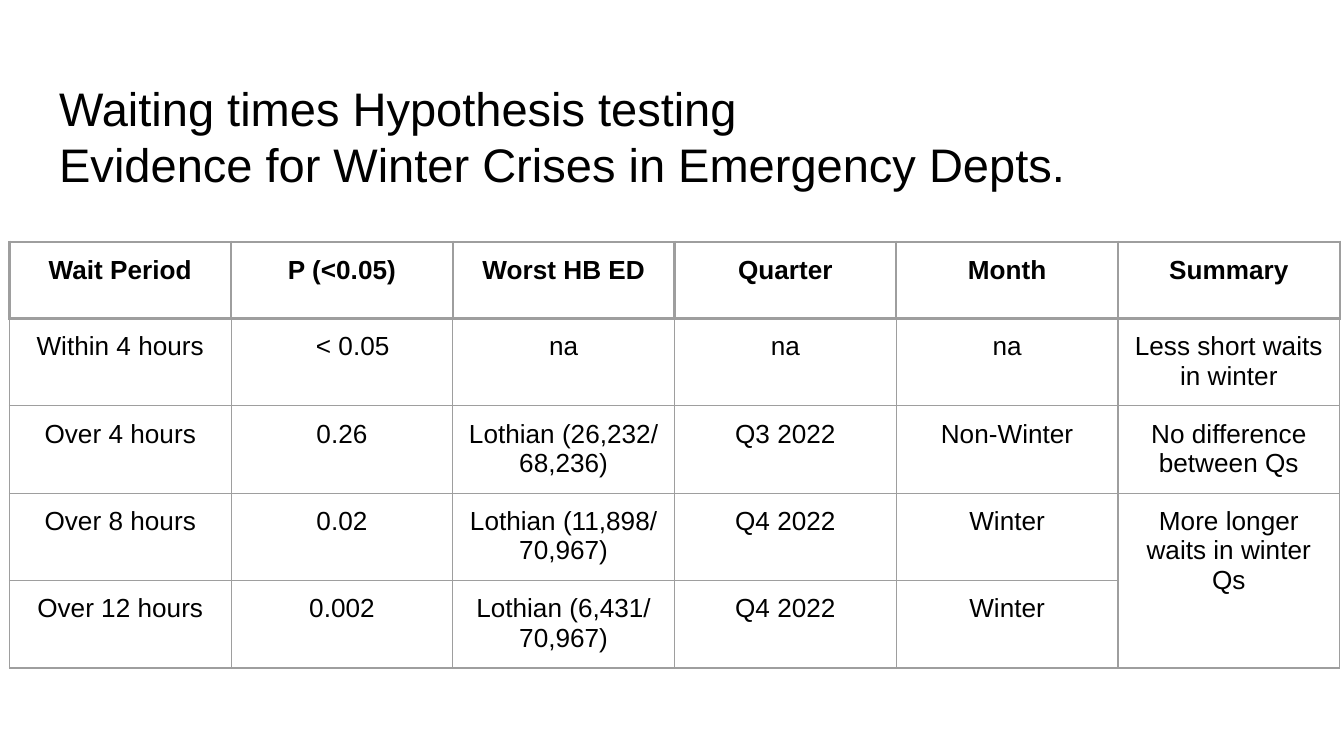
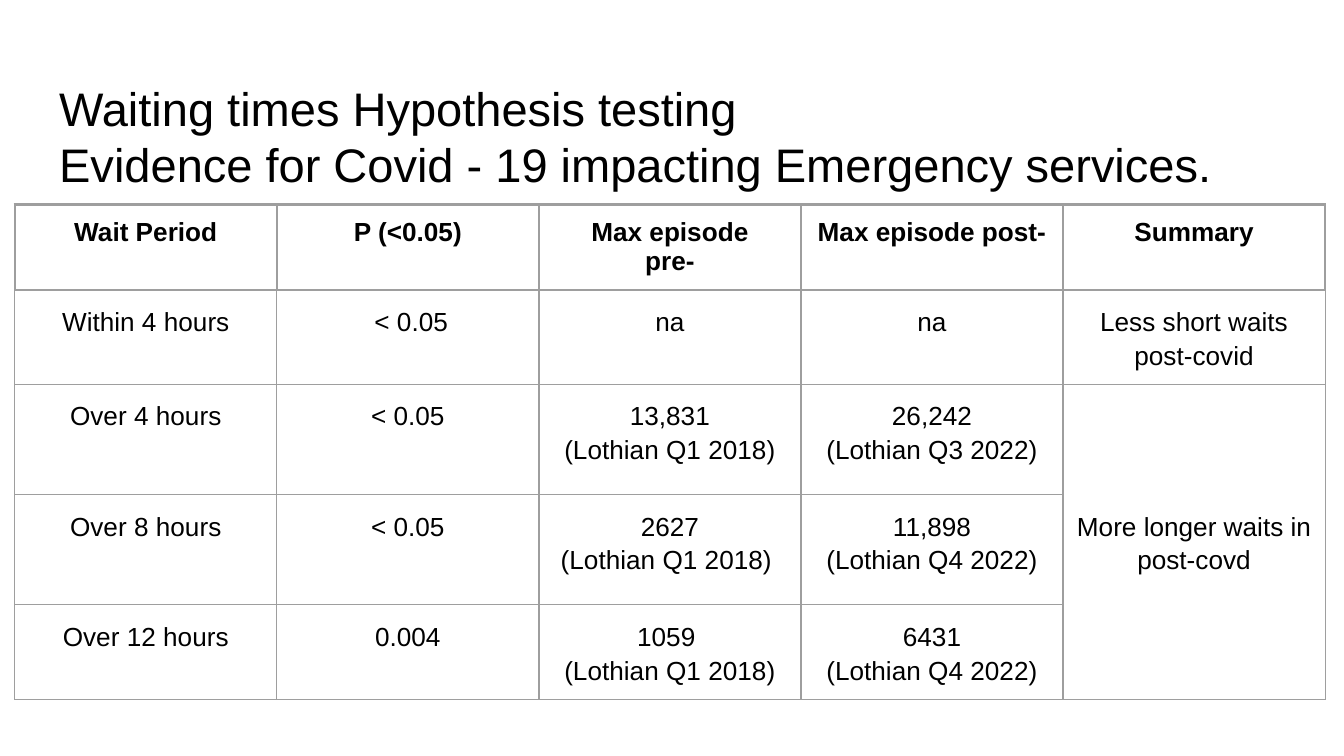
from dataclasses import dataclass

import pptx
import pptx.dml.color
import pptx.enum.text
import pptx.oxml.ns
import pptx.util
from lxml import etree

Inches = pptx.util.Inches
Pt = pptx.util.Pt
RGB = pptx.dml.color.RGBColor
Align = pptx.enum.text.PP_ALIGN
Anchor = pptx.enum.text.MSO_ANCHOR


@dataclass(frozen=True)
class Theme:
    font: str = "Arial"
    text: str = "000000"
    rule: str = "9E9E9E"
    title_size: float = 25.2
    table_size: float = 14
    thick: float = 1.5
    thin: float = 0.75
    inset: float = 0.1


@dataclass(frozen=True)
class Cell:
    text: str
    indent: float = 0
    rows: int = 1
    middle: bool = False


@dataclass(frozen=True)
class TestSlide:
    title: str
    left: float
    top: float
    col_width: float
    row_heights: list[float]
    rows: list[list[str | Cell | None]]  # None is covered by a merged cell
    body_spacing: float | None = None


THEME = Theme()
TITLE_START = "Waiting times Hypothesis testing\n"

SLIDES = [
    TestSlide(
        TITLE_START + "Evidence for Winter Crises in Emergency Depts.",
        0.07, 1.8, 1.65, [0.57, 0.65, 0.65, 0.65, 0.65],
        [
            ["Wait Period", "P (<0.05)", "Worst HB ED", "Quarter", "Month", "Summary"],
            ["Within 4 hours", Cell("< 0.05", indent=0.16), "na", "na", "na",
             "Less short waits in winter"],
            ["Over 4 hours", "0.26", "Lothian (26,232/ 68,236)", "Q3 2022", "Non-Winter",
             "No difference between Qs"],
            ["Over 8 hours", "0.02", "Lothian (11,898/ 70,967)", "Q4 2022", "Winter",
             Cell("More longer waits in winter Qs", rows=2)],
            ["Over 12 hours", "0.002", "Lothian (6,431/ 70,967)", "Q4 2022", "Winter", None],
        ],
    ),
    TestSlide(
        TITLE_START + "Evidence for Covid - 19 impacting Emergency services.",
        0.11, 1.52, 1.95, [0.56, 0.59, 0.82, 0.82, 0.59],
        [
            ["Wait Period", "P (<0.05)", "Max episode\npre-", "Max episode post-", "Summary"],
            ["Within 4 hours", Cell("< 0.05", indent=0.05), "na", "na",
             "Less short waits post-covid"],
            ["Over 4 hours", "< 0.05", "13,831\n(Lothian Q1 2018)", "26,242\n(Lothian Q3 2022)",
             Cell("More longer waits in post-covd", rows=3, middle=True)],
            ["Over 8 hours", "< 0.05", "2627\n(Lothian Q1 2018) ", "11,898\n(Lothian Q4 2022)",
             None],
            ["Over 12 hours", "0.004", "1059 \n(Lothian Q1 2018)", "6431\n(Lothian Q4 2022)",
             None],
        ],
        body_spacing=1.15,
    ),
]


def set_text(tf, text: str, size: float, align: Align, spacing: float | None = None,
             bold: bool = False) -> None:
    tf.text = text
    for p in tf.paragraphs:
        p.alignment = align
        p.line_spacing = spacing
        p.font.name = THEME.font
        p.font.size = Pt(size)
        p.font.bold = bold
        p.font.color.rgb = RGB.from_string(THEME.text)


def set_insets(target, indent: float = 0) -> None:
    target.margin_left = Inches(THEME.inset + indent)
    target.margin_right = target.margin_top = target.margin_bottom = Inches(THEME.inset)


def set_borders(cell, row: int) -> None:
    """Rule the header and the line below it thick, all else thin."""
    qn = pptx.oxml.ns.qn
    tc_pr = cell._tc.get_or_add_tcPr()
    for side in "LRTB":
        thick = row == 0 or (row == 1 and side == "T")
        width = Pt(THEME.thick if thick else THEME.thin)
        ln = etree.SubElement(tc_pr, qn(f"a:ln{side}"), w=str(width))
        fill = etree.SubElement(ln, qn("a:solidFill"))
        etree.SubElement(fill, qn("a:srgbClr"), val=THEME.rule)


def add_title(slide, text: str) -> None:
    sp = slide.shapes.title
    sp.left, sp.top = Inches(0.34), Inches(0.49)
    sp.width, sp.height = Inches(9.32), Inches(0.63)
    tf = sp.text_frame
    tf.word_wrap = True
    tf.auto_size = pptx.enum.text.MSO_AUTO_SIZE.NONE
    tf.vertical_anchor = Anchor.TOP
    set_insets(tf)
    set_text(tf, text, THEME.title_size, Align.LEFT)


def add_results(slide, test: TestSlide) -> None:
    n_rows, n_cols = len(test.rows), len(test.rows[0])
    table = slide.shapes.add_table(
        n_rows, n_cols, Inches(test.left), Inches(test.top),
        Inches(test.col_width * n_cols), Inches(sum(test.row_heights)),
    ).table
    table.first_row = table.horz_banding = False
    for row, height in zip(table.rows, test.row_heights):
        row.height = Inches(height)

    for i, row in enumerate(test.rows):
        for j, item in enumerate(row):
            cell = table.cell(i, j)
            set_borders(cell, i)
            cell.fill.background()
            if item is None:
                continue
            entry = Cell(item) if isinstance(item, str) else item
            if entry.rows > 1:
                cell.merge(table.cell(i + entry.rows - 1, j))
            set_insets(cell, entry.indent)
            cell.vertical_anchor = Anchor.MIDDLE if entry.middle else Anchor.TOP
            set_text(cell.text_frame, entry.text, THEME.table_size, Align.CENTER,
                     test.body_spacing if i else None, bold=i == 0)


def main() -> None:
    prs = pptx.Presentation()
    prs.slide_width = Inches(10)
    prs.slide_height = prs.slide_width * 9 // 16
    title_only = prs.slide_layouts[5]
    for test in SLIDES:
        slide = prs.slides.add_slide(title_only)
        add_title(slide, test.title)
        add_results(slide, test)
    prs.save("out.pptx")


if __name__ == "__main__":
    main()
